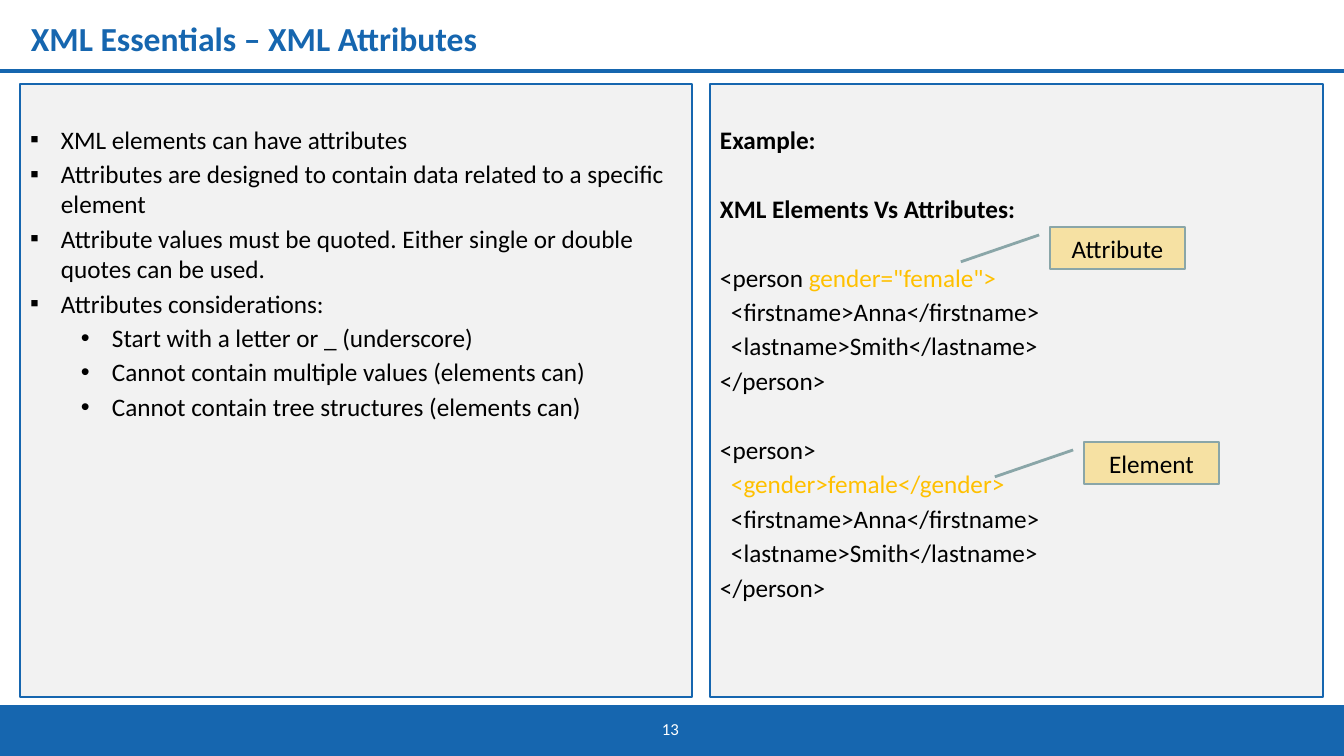
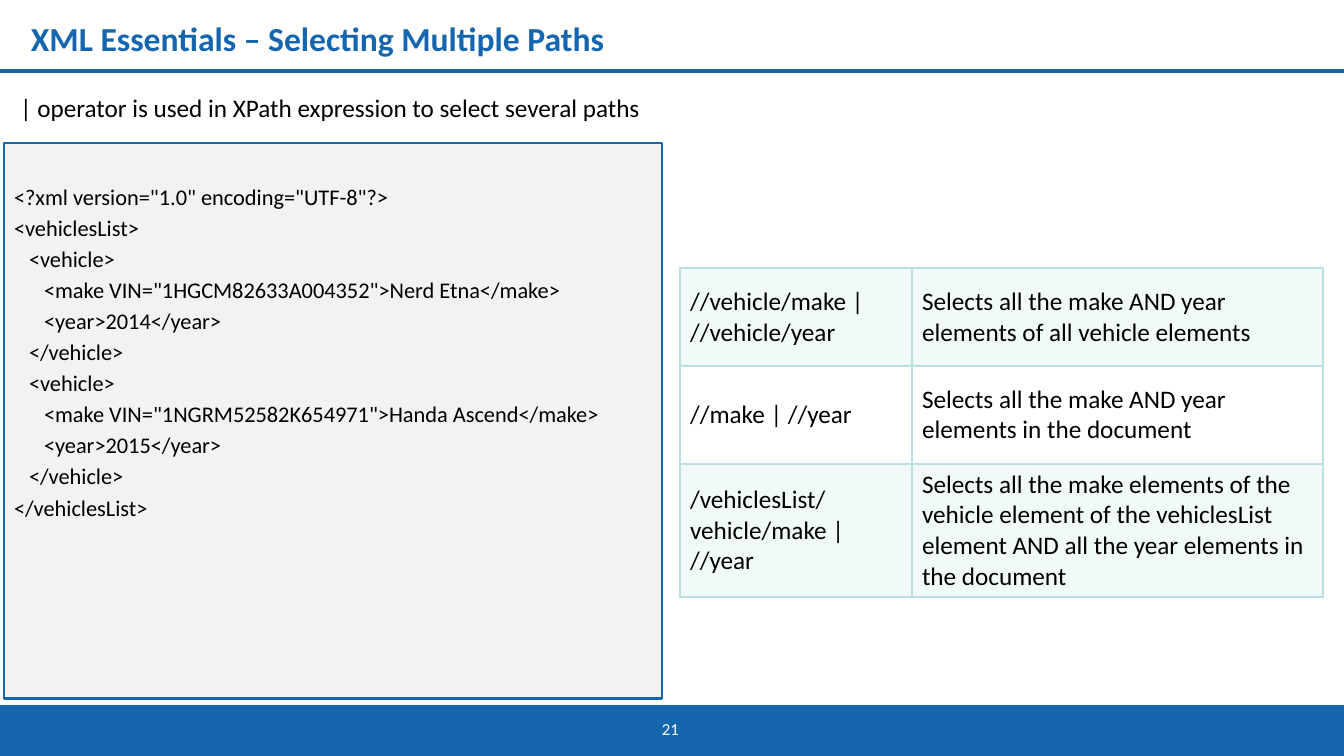
from typing import NamedTuple

from lxml.etree import SubElement
from pptx import Presentation
from pptx.dml.color import RGBColor
from pptx.enum.shapes import MSO_CONNECTOR, MSO_SHAPE
from pptx.enum.text import MSO_ANCHOR, PP_ALIGN
from pptx.oxml.ns import qn
from pptx.util import Pt

EMU_PER_PX = 914400 / 100.8
SLIDE_W, SLIDE_H = 1344, 756
FONT = "Calibri"
BLUE = RGBColor(0x16, 0x66, 0xAF)
WHITE = RGBColor(0xFF, 0xFF, 0xFF)
BLACK = RGBColor(0, 0, 0)
PANEL_GREY = RGBColor(0xF2, 0xF2, 0xF2)
HIGHLIGHT = RGBColor(0xFF, 0xC0, 0x00)
CALLOUT_SAND = RGBColor(0xF6, 0xE1, 0xA3)
CALLOUT_EDGE = RGBColor(0x8A, 0xA6, 0xA8)
TABLE_TINT = RGBColor(0xF1, 0xF9, 0xF9)
TABLE_EDGE = RGBColor(0xBB, 0xE0, 0xE3)
LINE_GAP, SECTION_GAP = 3, 27.6
BULLET_HANG = 31


class Box(NamedTuple):
    left: int
    top: int
    width: int
    height: int

    def emu(self):
        return [px(length) for length in self]

    def inner(self, left, top, width, height):
        return Box(self.left + left, self.top + top, width, height)


class Line(NamedTuple):
    text: str
    indent: int = 0
    bullet: str = ""
    gap: float = LINE_GAP
    bold: bool = False
    color: RGBColor = BLACK
    highlighted: str = ""


def px(length):
    return round(length * EMU_PER_PX)


def write(frame, lines, size=18, color=None, bold=False, align=PP_ALIGN.LEFT,
          anchor=MSO_ANCHOR.TOP, wrap=True, inset_left=10, inset_top=5):
    frame.word_wrap = wrap
    frame.vertical_anchor = anchor
    frame.margin_left, frame.margin_top = px(inset_left), px(inset_top)
    for index, line in enumerate(lines):
        paragraph = frame.paragraphs[0] if index == 0 else frame.add_paragraph()
        paragraph.alignment = align
        paragraph.space_before = Pt(line.gap if index else 0)
        properties = paragraph._p.get_or_add_pPr()
        properties.set("marL", str(px(line.indent)))
        properties.set("indent", str(px(-BULLET_HANG if line.bullet else 0)))
        if line.bullet:
            SubElement(properties, qn("a:buFont")).set("typeface", "Arial")
            SubElement(properties, qn("a:buChar")).set("char", line.bullet)
        for text, tone in ((line.text, color or line.color), (line.highlighted, HIGHLIGHT)):
            if text:
                run = paragraph.add_run()
                run.text = text
                run.font.name, run.font.size = FONT, Pt(size)
                run.font.bold = bold or line.bold
                run.font.color.rgb = tone


def add_text(slide, box, text, **text_format):
    write(slide.shapes.add_textbox(*box.emu()).text_frame, [Line(text)], **text_format)


def add_block(slide, box, fill, edge=None, kind=MSO_SHAPE.RECTANGLE):
    block = slide.shapes.add_shape(kind, *box.emu())
    block.shadow.inherit = False
    block.fill.solid()
    block.fill.fore_color.rgb = fill
    if edge is None:
        block.line.fill.background()
    else:
        block.line.color.rgb = edge
        block.line.width = Pt(2)
    return block


def add_panel(slide, box, lines, **text_format):
    panel = add_block(slide, box, PANEL_GREY, BLUE)
    write(panel.text_frame, lines, inset_top=40, **text_format)


def add_callout(slide, box, label):
    callout = add_block(slide, box, CALLOUT_SAND, CALLOUT_EDGE, MSO_SHAPE.LINE_CALLOUT_1)
    for index, value in enumerate((0.19, -0.08, 0.83, -0.66)):
        callout.adjustments[index] = value
    write(callout.text_frame, [Line(label)], align=PP_ALIGN.CENTER, anchor=MSO_ANCHOR.MIDDLE)


def add_cell_borders(cell):
    properties = cell._tc.get_or_add_tcPr()
    for position, side in enumerate(("lnL", "lnR", "lnT", "lnB")):
        border = properties.makeelement(qn(f"a:{side}"), {"w": str(Pt(1))})
        fill = SubElement(border, qn("a:solidFill"))
        SubElement(fill, qn("a:srgbClr")).set("val", str(TABLE_EDGE))
        properties.insert(position, border)


def add_path_table(slide, box, rows, column_widths, row_heights):
    frame = slide.shapes.add_table(len(rows), len(column_widths), *box.emu())
    table = frame.table
    table.first_row = table.horz_banding = False
    for column, width in zip(table.columns, column_widths):
        column.width = px(width)
    for index, (row, texts, height) in enumerate(zip(table.rows, rows, row_heights)):
        row.height = px(height)
        for cell, text in zip(row.cells, texts):
            if index % 2:
                cell.fill.background()
            else:
                cell.fill.solid()
                cell.fill.fore_color.rgb = TABLE_TINT
            add_cell_borders(cell)
            write(cell.text_frame, [Line(text)])
            cell.vertical_anchor = MSO_ANCHOR.MIDDLE


def add_base_slide(deck, topic, number):
    slide = deck.slides.add_slide(deck.slide_layouts[6])
    footer = Box(0, 705, SLIDE_W, SLIDE_H - 705)
    add_block(slide, footer, BLUE)
    rule = slide.shapes.add_connector(MSO_CONNECTOR.STRAIGHT, 0, px(71), px(SLIDE_W), px(71))
    rule.line.color.rgb = BLUE
    rule.line.width = Pt(3)
    SubElement(rule._element.spPr, qn("a:effectLst"))
    add_text(slide, footer.inner(652, 9, 40, 30), str(number), size=12, color=WHITE, wrap=False)
    add_text(slide, Box(31, 13, 1237, 56), f"XML Essentials – {topic}",
             size=24, color=BLUE, bold=True, inset_left=0)
    return slide


def build_attributes(deck):
    slide = add_base_slide(deck, "XML Attributes", 13)
    rules = [Line(text, BULLET_HANG, "▪") for text in (
        "XML elements can have attributes",
        "Attributes are designed to contain data related to a specific element",
        "Attribute values must be quoted. Either single or double quotes can be used.",
        "Attributes considerations:",
    )]
    considerations = [Line(text, 82, "•") for text in (
        "Start with a letter or _ (underscore)",
        "Cannot contain multiple values (elements can)",
        "Cannot contain tree structures (elements can)",
    )]
    add_panel(slide, Box(20, 84, 672, 613), rules + considerations)

    person_tail = [
        Line("<firstname>Anna</firstname>", 11),
        Line("<lastname>Smith</lastname>", 11),
        Line("</person>"),
    ]
    example = Box(710, 84, 613, 613)
    add_panel(slide, example, [
        Line("Example:", bold=True),
        Line("XML Elements Vs Attributes:", gap=SECTION_GAP, bold=True),
        Line("<person ", gap=SECTION_GAP, highlighted='gender="female">'),
        *person_tail,
        Line("<person>", gap=SECTION_GAP),
        Line("<gender>female</gender>", 11, color=HIGHLIGHT),
        *person_tail,
    ])
    add_callout(slide, example.inner(340, 143, 135, 42), "Attribute")
    add_callout(slide, example.inner(374, 358, 135, 42), "Element")


def build_multiple_paths(deck):
    slide = add_base_slide(deck, "Selecting Multiple Paths", 21)
    add_text(slide, Box(10, 87, 652, 40),
             "| operator is used in XPath expression to select several paths")
    vehicles = (
        ("1HGCM82633A004352", "Nerd Etna", 2014),
        ("1NGRM52582K654971", "Handa Ascend", 2015),
    )
    listing = [Line('<?xml version="1.0" encoding="UTF-8"?>'), Line("<vehiclesList>")]
    for vin, make, year in vehicles:
        listing += [
            Line("<vehicle>", 15),
            Line(f'<make VIN="{vin}">{make}</make>', 30),
            Line(f"<year>{year}</year>", 30),
            Line("</vehicle>", 15),
        ]
    listing.append(Line("</vehiclesList>"))
    add_panel(slide, Box(4, 143, 658, 556), listing, size=16)
    add_path_table(slide, Box(680, 268, 643, 329), (
        ("//vehicle/make | //vehicle/year",
         "Selects all the make AND year elements of all vehicle elements"),
        ("//make | //year",
         "Selects all the make AND year elements in the document"),
        ("/vehiclesList/vehicle/make | //year",
         "Selects all the make elements of the vehicle element of the vehiclesList "
         "element AND all the year elements in the document"),
    ), (232, 411), (98, 98, 133))


def main():
    deck = Presentation()
    deck.slide_width, deck.slide_height = px(SLIDE_W), px(SLIDE_H)
    build_attributes(deck)
    build_multiple_paths(deck)
    deck.save("out.pptx")


if __name__ == "__main__":
    main()
